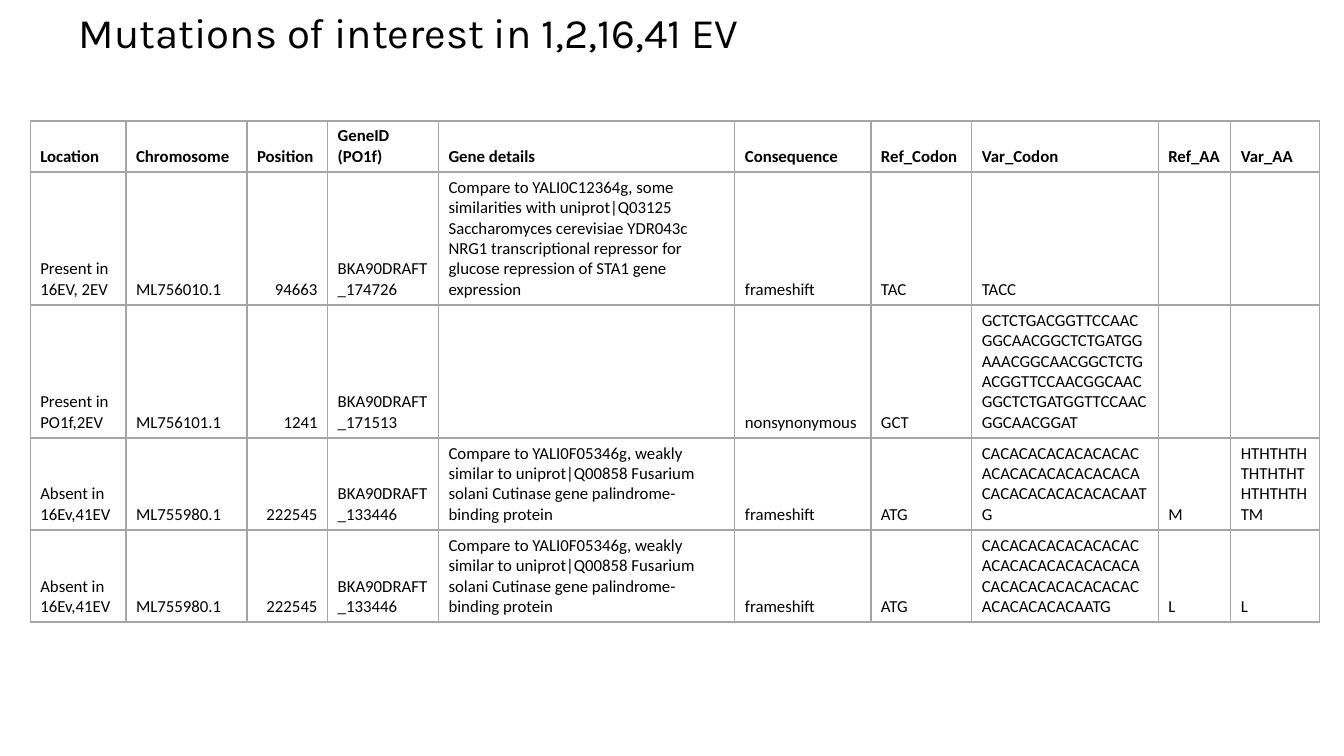
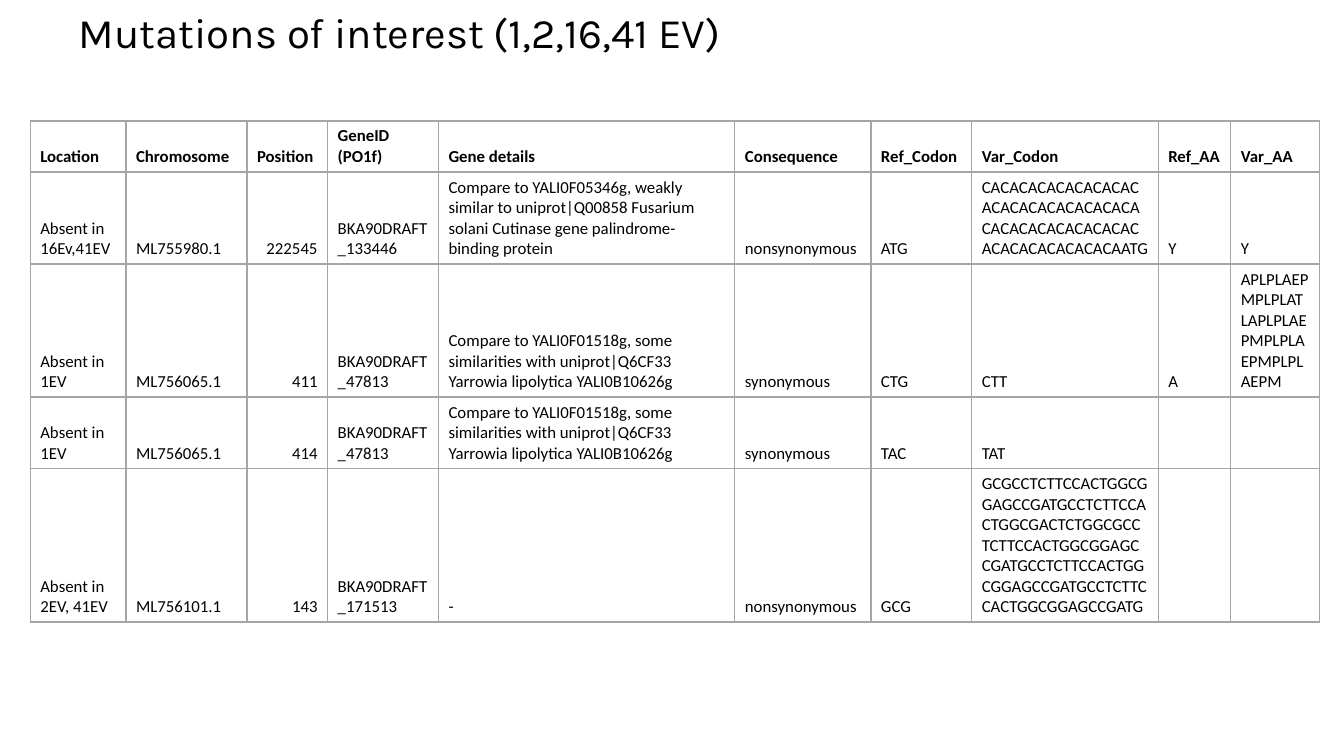
import dataclasses

import lxml.etree
import pptx
import pptx.dml.color
import pptx.enum.text
import pptx.oxml.ns
import pptx.util


@dataclasses.dataclass(frozen=True)
class Theme:
    """Hold the colours, fonts, type sizes and line widths of the slides."""
    text: str = "000000"
    rule: str = "A5A5A5"
    title_font: str = "Karla"
    body_font: str = "Calibri"
    title_size: int = 30
    body_size: int = 12
    rule_width: int = 1
    header_rule_width: int = 2


@dataclasses.dataclass(frozen=True)
class Box:
    """Give a region in grid units."""
    left: float
    top: float
    width: float
    height: float = 0


THEME = Theme()
GRID_UNIT = 0.1
SLIDE_BOX = Box(0, 0, 133.33, 75)
TITLE_BOX = Box(6.8, 0.7, 117.4, 10.3)
TABLE_BOX = Box(3, 12, 127.9)
LINE_ROWS = 2
ROW_PADDING = 1

COLUMNS = {
    "Location": 9.5, "Chromosome": 12, "Position": 8, "GeneID (PO1f)": 11,
    "Gene details": 29.4, "Consequence": 13.5, "Ref_Codon": 10,
    "Var_Codon": 18.5, "Ref_AA": 7.2, "Var_AA": 8.8,
}
HEADER_LINES = 2
NUMBER_COLUMN = "Position"

REPRESSOR = ("Compare to YALI0C12364g, some similarities with uniprot|Q03125 "
             "Saccharomyces cerevisiae YDR043c NRG1 transcriptional repressor "
             "for glucose repression of STA1 gene expression")
CUTINASE = ("Compare to YALI0F05346g, weakly similar to uniprot|Q00858 "
            "Fusarium solani Cutinase gene palindrome-binding protein")
YARROWIA = ("Compare to YALI0F01518g, some similarities with uniprot|Q6CF33 "
            "Yarrowia lipolytica YALI0B10626g")

SLIDES = [
    ("Mutations of interest in 1,2,16,41 EV", [
        (6, ["Present in\n16EV, 2EV", "ML756010.1", "94663", "BKA90DRAFT_174726",
             REPRESSOR, "frameshift", "TAC", "TACC", "", ""]),
        (6, ["Present in\nPO1f,2EV", "ML756101.1", "1241", "BKA90DRAFT_171513",
             "", "nonsynonymous", "GCT",
             "GCTCTGACGGTTCCAACGGCAACGGCTCTGATGGAAACGGCAACGGCTCTG"
             "ACGGTTCCAACGGCAACGGCTCTGATGGTTCCAACGGCAACGGAT", "", ""]),
        (4, ["Absent in\n16Ev,41EV", "ML755980.1", "222545", "BKA90DRAFT_133446",
             CUTINASE, "frameshift", "ATG",
             "CACACACACACACACACACACACACACACACACACACACACACACACACAATG",
             "M", "HTHTHTHTHTHTHTHTHTHTHTM"]),
        (4, ["Absent in\n16Ev,41EV", "ML755980.1", "222545", "BKA90DRAFT_133446",
             CUTINASE, "frameshift", "ATG",
             "CACACACACACACACACACACACACACACACACACACACACACACACACACACACACACACAATG",
             "L", "L"]),
    ]),
    ("Mutations of interest (1,2,16,41 EV)", [
        (4, ["Absent in\n16Ev,41EV", "ML755980.1", "222545", "BKA90DRAFT_133446",
             CUTINASE, "nonsynonymous", "ATG",
             "CACACACACACACACACACACACACACACACACACACACACACACACACACACACACACACACACAATG",
             "Y", "Y"]),
        (6, ["Absent in\n1EV", "ML756065.1", "411", "BKA90DRAFT_47813",
             YARROWIA, "synonymous", "CTG", "CTT", "A",
             "APLPLAEPMPLPLATLAPLPLAEPMPLPLAEPMPLPLAEPM"]),
        (3, ["Absent in\n1EV", "ML756065.1", "414", "BKA90DRAFT_47813",
             YARROWIA, "synonymous", "TAC", "TAT", "", ""]),
        (7, ["Absent in\n2EV, 41EV", "ML756101.1", "143", "BKA90DRAFT_171513",
             "-", "nonsynonymous", "GCG",
             "GCGCCTCTTCCACTGGCGGAGCCGATGCCTCTTCCACTGGCGACTCTGGCGCC"
             "TCTTCCACTGGCGGAGCCGATGCCTCTTCCACTGGCGGAGCCGATGCCTCTTC"
             "CACTGGCGGAGCCGATG", "", ""]),
    ]),
]


def grid(units):
    """Turn grid units into a length."""
    return pptx.util.Inches(units * GRID_UNIT)


def write_text(text_frame, text, *, font, size, bold=False, align="LEFT", line_spacing=None):
    """Write text, one paragraph for each line, in the given format."""
    text_frame.text = text
    for paragraph in text_frame.paragraphs:
        paragraph.alignment = getattr(pptx.enum.text.PP_ALIGN, align)
        paragraph.line_spacing = line_spacing
        paragraph.font.name = font
        paragraph.font.size = pptx.util.Pt(size)
        paragraph.font.bold = bold
        paragraph.font.color.rgb = pptx.dml.color.RGBColor.from_string(THEME.text)


def rule_cell(cell, top, bottom):
    """Draw the four borders of a cell."""
    qualified = pptx.oxml.ns.qn
    properties = cell._tc.get_or_add_tcPr()
    widths = {"L": THEME.rule_width, "R": THEME.rule_width, "T": top, "B": bottom}
    for side, width in widths.items():
        line = lxml.etree.SubElement(properties, qualified(f"a:ln{side}"),
                                     w=str(pptx.util.Pt(width)))
        fill = lxml.etree.SubElement(line, qualified("a:solidFill"))
        lxml.etree.SubElement(fill, qualified("a:srgbClr"), val=THEME.rule)


def add_title(slide, box, text):
    """Place and format the title placeholder."""
    title = slide.shapes.title
    title.left, title.top = grid(box.left), grid(box.top)
    title.width, title.height = grid(box.width), grid(box.height)
    title.text_frame.word_wrap = True
    title.text_frame.auto_size = pptx.enum.text.MSO_AUTO_SIZE.NONE
    title.text_frame.vertical_anchor = pptx.enum.text.MSO_ANCHOR.TOP
    write_text(title.text_frame, text, font=THEME.title_font,
               size=THEME.title_size, line_spacing=0.9)


def add_mutation_table(slide, box, mutations):
    """Fill a box with the header and one row for each mutation."""
    rows = [(HEADER_LINES, list(COLUMNS)), *mutations]
    heights = [lines * LINE_ROWS + ROW_PADDING for lines, _ in rows]
    table = slide.shapes.add_table(
        len(rows), len(COLUMNS), grid(box.left), grid(box.top),
        grid(box.width), grid(sum(heights))).table
    table.first_row = table.horz_banding = False
    share = box.width / sum(COLUMNS.values())
    for column, width in zip(table.columns, COLUMNS.values()):
        column.width = grid(width * share)
    for row_index, (_, values) in enumerate(rows):
        table.rows[row_index].height = grid(heights[row_index])
        header = row_index == 0
        top = THEME.header_rule_width if row_index == 1 else THEME.rule_width
        bottom = THEME.header_rule_width if header else THEME.rule_width
        for column_index, (name, value) in enumerate(zip(COLUMNS, values)):
            cell = table.cell(row_index, column_index)
            rule_cell(cell, top, bottom)
            cell.fill.background()
            cell.vertical_anchor = pptx.enum.text.MSO_ANCHOR.BOTTOM
            number = name == NUMBER_COLUMN and not header
            write_text(cell.text_frame, value, font=THEME.body_font,
                       size=THEME.body_size, bold=header,
                       align="RIGHT" if number else "LEFT")


def add_mutation_slide(presentation, title, mutations):
    """Add a slide with a title and a table of mutations."""
    layout = presentation.slide_layouts.get_by_name("Title Only")
    slide = presentation.slides.add_slide(layout)
    add_title(slide, TITLE_BOX, title)
    add_mutation_table(slide, TABLE_BOX, mutations)


def main():
    """Build and save the presentation."""
    presentation = pptx.Presentation()
    presentation.slide_width = grid(SLIDE_BOX.width)
    presentation.slide_height = grid(SLIDE_BOX.height)
    for title, mutations in SLIDES:
        add_mutation_slide(presentation, title, mutations)
    presentation.save("out.pptx")


if __name__ == "__main__":
    main()
